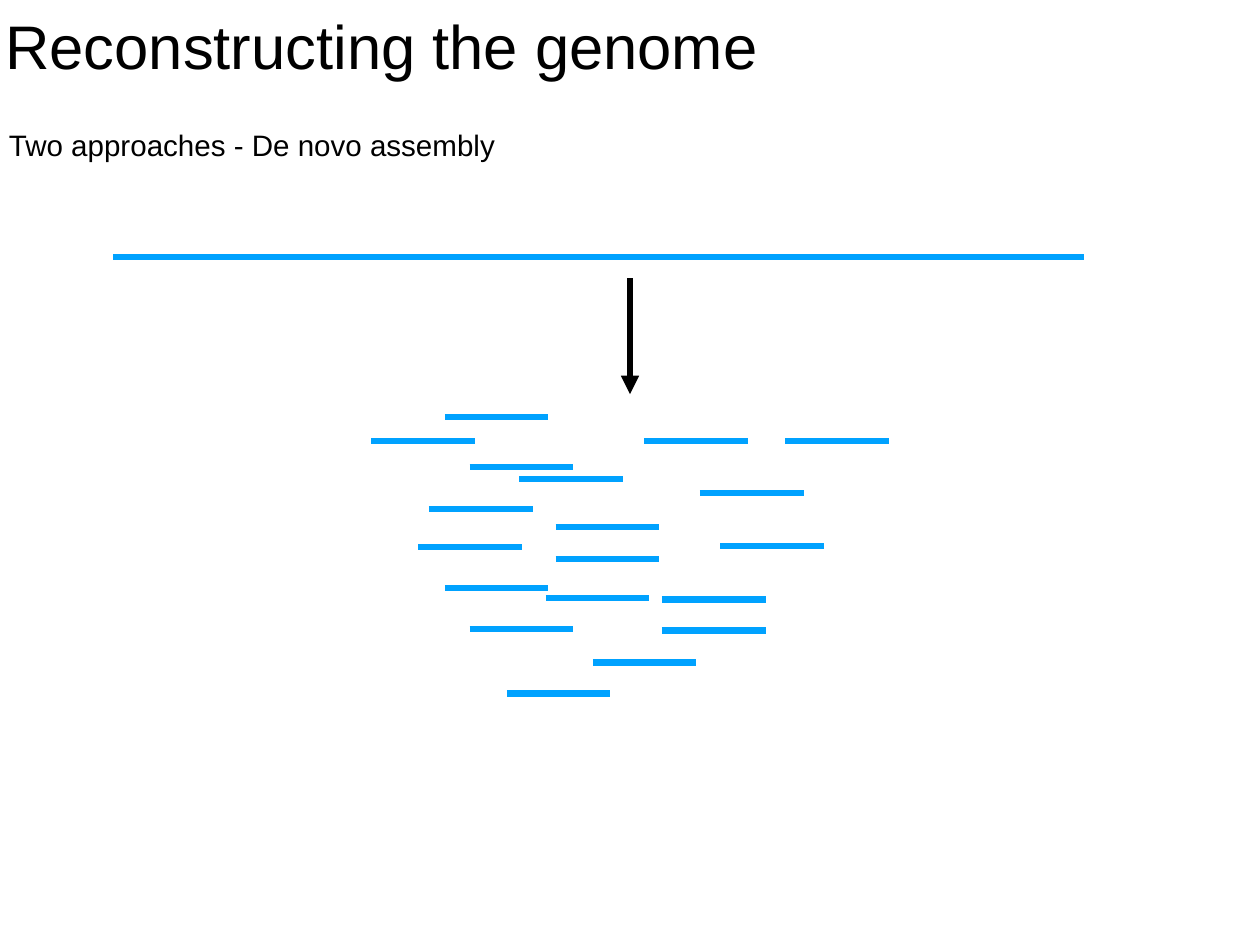
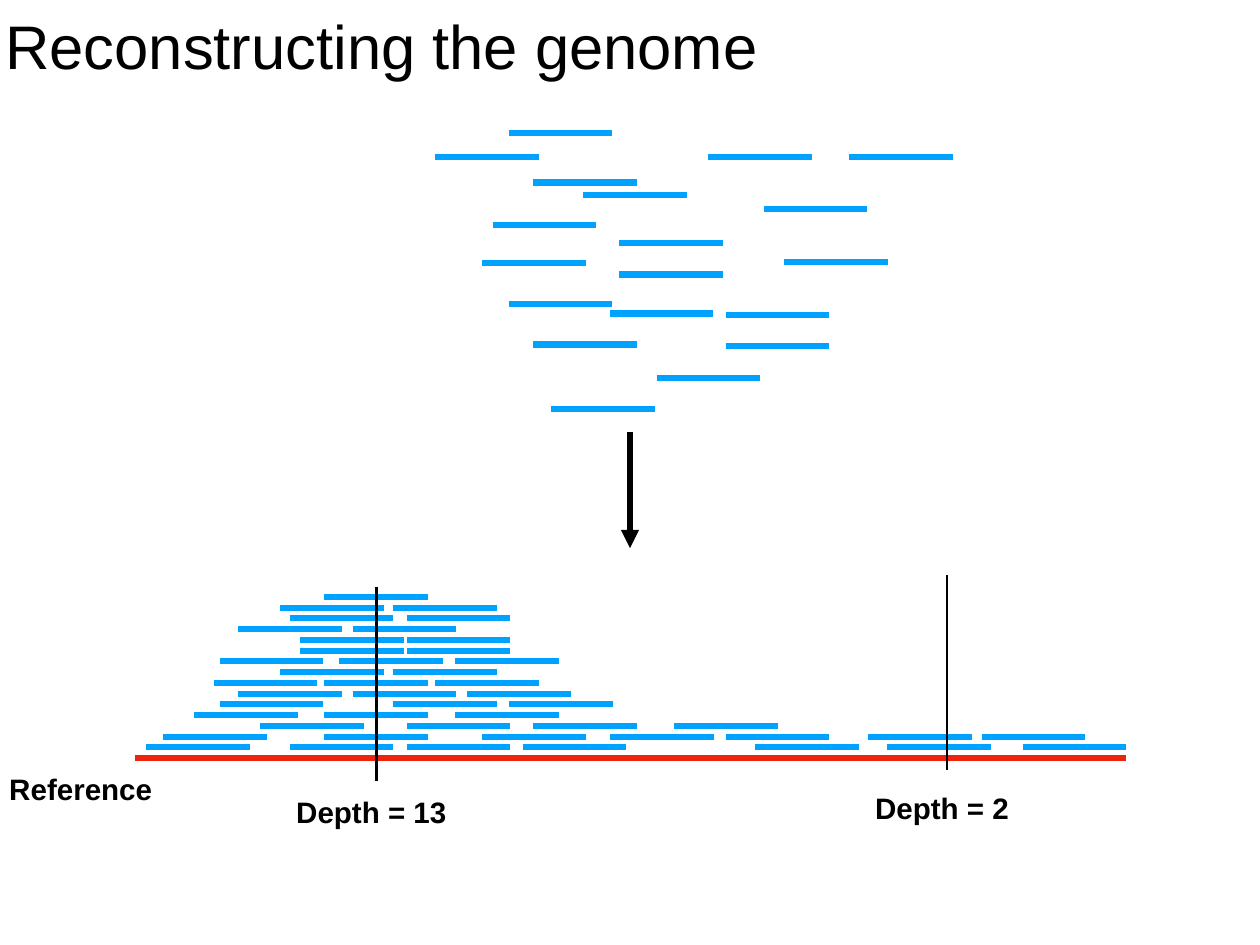
from dataclasses import dataclass

from lxml.etree import SubElement
from pptx import Presentation
from pptx.dml.color import RGBColor
from pptx.enum.shapes import MSO_CONNECTOR
from pptx.enum.text import MSO_ANCHOR, MSO_AUTO_SIZE, PP_ALIGN
from pptx.oxml.ns import qn
from pptx.util import Inches, Pt


@dataclass(frozen=True)
class Theme:
    font: str = "Arial"
    ink: RGBColor = RGBColor(0x00, 0x00, 0x00)
    read: RGBColor = RGBColor(0x00, 0xA2, 0xFF)
    reference: RGBColor = RGBColor(0xEE, 0x23, 0x0C)
    title_size: int = 50
    body_size: int = 24
    thick: int = 5
    thin: int = 2
    inset: float = 0.06


@dataclass(frozen=True)
class Box:
    left: float
    top: float
    width: float
    height: float


THEME = Theme()
TITLE_ONLY = 5
READ_LENGTH = 1.17

# Left end and height of each scattered read, measured from the cloud's corner.
CLOUD_READS = [
    (0, 0.27), (4.67, 0.27), (0.83, 0), (3.08, 0.27), (1.11, 0.56),
    (1.67, 0.7), (3.71, 0.86), (0.65, 1.04), (2.08, 1.24), (0.53, 1.47),
    (3.94, 1.46), (2.08, 1.6), (0.83, 1.93), (3.28, 2.06), (1.97, 2.04),
    (1.11, 2.39), (3.28, 2.41), (2.5, 2.77),
]
LOWEST_READ_TOP = 3.12

# Left ends of the aligned reads, one list per row from the top down.
PILEUP_ROWS = [
    [2.14],
    [1.64, 2.92],
    [1.75, 3.07],
    [1.17, 2.46],
    [1.87, 3.07],
    [1.87, 3.07],
    [0.96, 2.31, 3.62],
    [1.64, 2.92],
    [0.89, 2.14, 3.39],
    [1.17, 2.46, 3.75],
    [0.96, 2.92, 4.23],
    [0.67, 2.14, 3.62],
    [1.42, 3.07, 4.5, 6.09],
    [0.32, 2.14, 3.92, 5.37, 6.67, 8.28, 9.56],
    [0.13, 1.75, 3.07, 4.38, 7, 8.49, 10.02],
]

# Text, position, line top, line bottom and label top, within the pileup.
DEPTH_MARKERS = [
    ("Depth = 13", 2.73, -0.11, 2.08, 2.18),
    ("Depth = 2", 9.17, -0.25, 1.96, 2.13),
]


def add_line(page, start, end, color, weight, arrow=False):
    line = page.shapes.add_connector(
        MSO_CONNECTOR.STRAIGHT, *(Inches(value) for value in (*start, *end)))
    line.line.color.rgb = color
    line.line.width = Pt(weight)
    properties = line._element.spPr
    if arrow:
        SubElement(properties.find(qn("a:ln")), qn("a:tailEnd"), type="triangle")
    SubElement(properties, qn("a:effectLst"))


def add_read(page, left, top):
    add_line(page, (left, top), (left + READ_LENGTH, top), THEME.read, THEME.thick)


def place(shape, box):
    shape.left, shape.top = Inches(box.left), Inches(box.top)
    shape.width, shape.height = Inches(box.width), Inches(box.height)


def write(shape, text, size, bold=False, align=PP_ALIGN.LEFT,
          anchor=MSO_ANCHOR.MIDDLE, wrap=True):
    frame = shape.text_frame
    frame.text = text
    frame.word_wrap = wrap
    frame.auto_size = MSO_AUTO_SIZE.NONE
    frame.vertical_anchor = anchor
    frame.margin_left = frame.margin_right = Inches(THEME.inset)
    frame.margin_top = frame.margin_bottom = Inches(THEME.inset)
    para = frame.paragraphs[0]
    para.alignment = align
    font = para.runs[0].font
    font.name, font.size, font.bold = THEME.font, Pt(size), bold
    font.color.rgb = THEME.ink
    return para


def add_text(page, text, box, **style):
    shape = page.shapes.add_textbox(0, 0, 0, 0)
    place(shape, box)
    write(shape, text, THEME.body_size, **style)


def add_label(page, text, center, top):
    width = 1.75
    add_text(page, text, Box(center - width / 2, top, width, 0.5),
             bold=True, align=PP_ALIGN.CENTER, wrap=False)


def add_page(deck):
    page = deck.slides.add_slide(deck.slide_layouts[TITLE_ONLY])
    title = page.shapes.title
    place(title, Box(0, 0, 9.72, 1.12))
    para = write(title, "Reconstructing the genome", THEME.title_size)
    para.line_spacing = 0.9
    return page


def add_down_arrow(page, top):
    center, length = 7.11, 1.31
    add_line(page, (center, top), (center, top + length),
             THEME.ink, THEME.thick, arrow=True)


def add_read_cloud(page, left, top, lowest_read):
    """Scatter the reads; lowest_read is the left end of the bottom one."""
    for x, y in [*CLOUD_READS, (lowest_read, LOWEST_READ_TOP)]:
        add_read(page, left + x, top + y)


def add_pileup(page, box):
    """Stack the aligned reads on a reference along the bottom of the box."""
    bottom = box.top + box.height
    add_line(page, (box.left, bottom), (box.left + box.width, bottom),
             THEME.reference, THEME.thick)
    row_step = box.height / len(PILEUP_ROWS)
    for row, starts in enumerate(PILEUP_ROWS):
        for start in starts:
            add_read(page, box.left + start, box.top + row * row_step)
    for text, x, line_top, line_bottom, label_top in DEPTH_MARKERS:
        center = box.left + x
        add_line(page, (center, box.top + line_top),
                 (center, box.top + line_bottom), THEME.ink, THEME.thin)
        add_label(page, text, center - 0.06, box.top + label_top)
    add_label(page, "Reference", box.left - 0.61, box.top + 1.91)


def build_assembly_page(deck):
    page = add_page(deck)
    add_text(page, "Two approaches - De novo assembly",
             Box(0.04, 1.37, 11.98, 0.5), anchor=MSO_ANCHOR.TOP)
    add_line(page, (1.28, 2.9), (12.23, 2.9), THEME.read, THEME.thick)
    add_read_cloud(page, 4.19, 4.71, lowest_read=1.53)
    add_down_arrow(page, 3.14)


def build_mapping_page(deck):
    page = add_page(deck)
    add_read_cloud(page, 4.91, 1.5, lowest_read=1.31)
    add_down_arrow(page, 4.88)
    add_pileup(page, Box(1.52, 6.74, 11.19, 1.82))


def main():
    deck = Presentation()
    deck.slide_width, deck.slide_height = Inches(14.22), Inches(10.67)
    build_assembly_page(deck)
    build_mapping_page(deck)
    deck.save("out.pptx")


if __name__ == "__main__":
    main()
